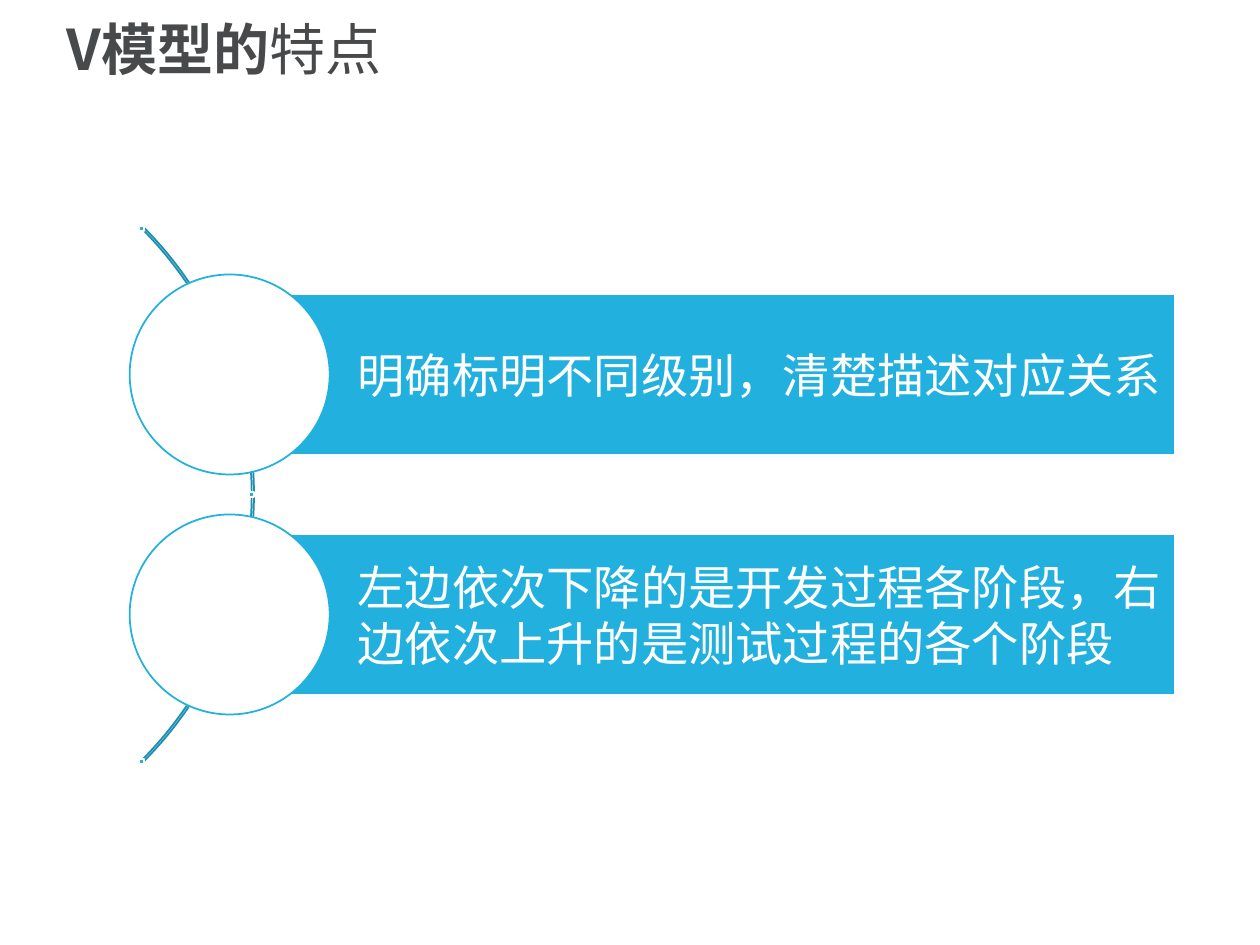
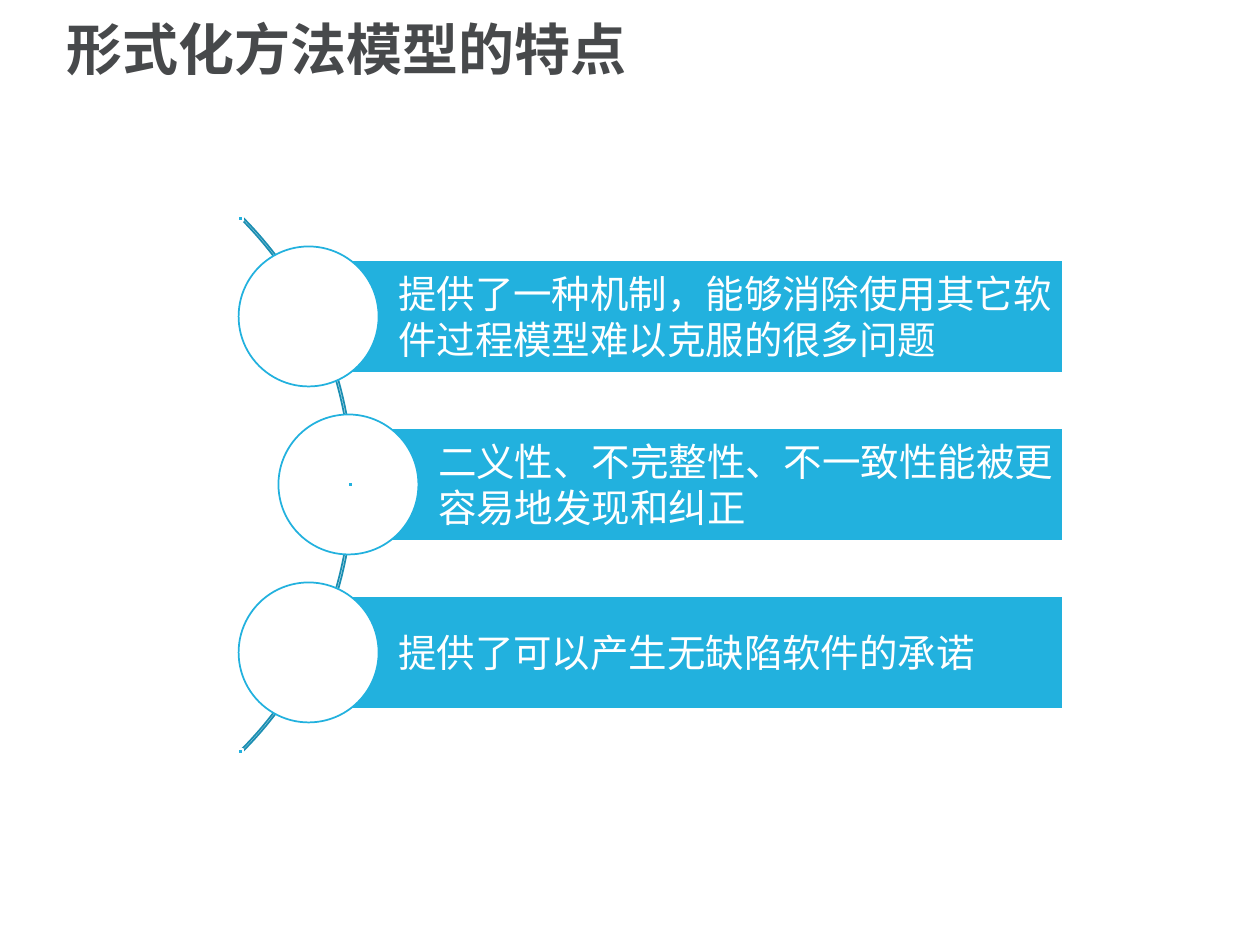
from math import sqrt

from lxml.etree import SubElement
from pptx import Presentation
from pptx.dml.color import RGBColor
from pptx.enum.shapes import MSO_SHAPE
from pptx.enum.text import MSO_ANCHOR, MSO_AUTO_SIZE, PP_ALIGN
from pptx.oxml.ns import qn
from pptx.util import Emu, Pt

PX_PER_INCH = 126
COLORS = {
    "title": "47494B",
    "bar": "22B1DE",
    "arc": "1B8EB2",
    "white": "FFFFFF",
}
TITLE_FONT = "Noto Sans CJK SC"
BAR_FONT = "Calibri"

ARC_SIZE = 757
CIRCLE_TRACK_RADIUS = 374
MARKER_SIZE = 5
MARKER_OFFSETS = [(642, 110), (752, 376), (642, 643)]


def px(length):
    return Emu(round(length * 914400 / PX_PER_INCH))


def color(name):
    return RGBColor.from_string(COLORS[name])


def style_paragraph(paragraph, typeface, size, color_name, bold=False):
    """Apply one typeface to both the Latin and the Chinese text."""
    paragraph.alignment = PP_ALIGN.LEFT
    font = paragraph.font
    font.size, font.bold, font.name = Pt(size), bold, typeface
    font.color.rgb = color(color_name)
    defaults = paragraph._p.pPr.find(qn("a:defRPr"))
    defaults.set("lang", "zh-CN")
    SubElement(defaults, qn("a:ea"), typeface=typeface)


def add_outlined(slide, kind, left, top, width, height, fill, line):
    shape = slide.shapes.add_shape(kind, px(left), px(top), px(width), px(height))
    shape.shadow.inherit = False
    if fill:
        shape.fill.solid()
        shape.fill.fore_color.rgb = color(fill)
    else:
        shape.fill.background()
    shape.line.color.rgb = color(line)
    shape.line.width = Pt(1)
    return shape


def add_title(slide, bold_part, regular_part):
    title = slide.shapes.title
    title.left, title.top, title.width, title.height = map(px, (54, 8, 1140, 88))
    frame = title.text_frame
    frame.vertical_anchor = MSO_ANCHOR.MIDDLE
    frame.auto_size = MSO_AUTO_SIZE.NONE
    heading = frame.paragraphs[0]
    heading.line_spacing = 0.9
    style_paragraph(heading, TITLE_FONT, 32, "title", bold=True)
    heading.add_run().text = bold_part
    if regular_part:
        regular = heading.add_run()
        regular.text = regular_part
        regular.font.bold = False


def add_feature(slide, text, center_x, center_y, right, bar_height, size):
    """Draw a text bar with a circle centred on its left edge."""
    bar = add_outlined(slide, MSO_SHAPE.RECTANGLE, center_x, center_y - bar_height / 2,
                       right - center_x, bar_height, "bar", "white")
    frame = bar.text_frame
    frame.word_wrap = True
    frame.vertical_anchor = MSO_ANCHOR.MIDDLE
    frame.margin_left = px(bar_height * 0.8)
    frame.margin_right = frame.margin_top = frame.margin_bottom = px(size // 3)
    feature = frame.paragraphs[0]
    style_paragraph(feature, BAR_FONT, size, "white")
    feature.add_run().text = text

    diameter = bar_height * 1.25
    add_outlined(slide, MSO_SHAPE.OVAL, center_x - diameter / 2, center_y - diameter / 2,
                 diameter, diameter, "white", "bar")


def add_feature_arc(slide, left, top, right, bar_height, size, features):
    """Place the features along an arc whose box starts at left, top."""
    arc = add_outlined(slide, MSO_SHAPE.BLOCK_ARC, left, top, ARC_SIZE, ARC_SIZE,
                       None, "arc")
    for index, value in enumerate((189, 27, 3 / 1000)):
        arc.adjustments[index] = value

    radius = ARC_SIZE / 2
    for index, text in enumerate(features):
        rise = (index - (len(features) - 1) / 2) * bar_height * 1.5
        reach = sqrt(CIRCLE_TRACK_RADIUS ** 2 - rise ** 2)
        add_feature(slide, text, left + radius + reach, top + radius + rise,
                    right, bar_height, size)

    for dx, dy in MARKER_OFFSETS:
        add_outlined(slide, MSO_SHAPE.RECTANGLE, left + dx, top + dy,
                     MARKER_SIZE, MARKER_SIZE, "bar", "white")


def add_features_slide(deck, bold_title, regular_title, **diagram):
    slide = deck.slides.add_slide(deck.slide_layouts.get_by_name("Title Only"))
    slide.background.fill.solid()
    slide.background.fill.fore_color.rgb = color("white")
    add_title(slide, bold_title, regular_title)
    add_feature_arc(slide, **diagram)


def main():
    deck = Presentation()
    deck.slide_width, deck.slide_height = px(1260), px(945)
    add_features_slide(
        deck, "V模型的", "特点",
        left=-503, top=116, right=1175, bar_height=160, size=27,
        features=[
            "明确标明不同级别，清楚描述对应关系",
            "左边依次下降的是开发过程各阶段，右边依次上升的是测试过程的各个阶段",
        ])
    add_features_slide(
        deck, "形式化方法模型的特点", "",
        left=-404, top=106, right=1063, bar_height=112, size=22,
        features=[
            "提供了一种机制，能够消除使用其它软件过程模型难以克服的很多问题",
            "二义性、不完整性、不一致性能被更容易地发现和纠正",
            "提供了可以产生无缺陷软件的承诺",
        ])
    deck.save("out.pptx")


if __name__ == "__main__":
    main()
